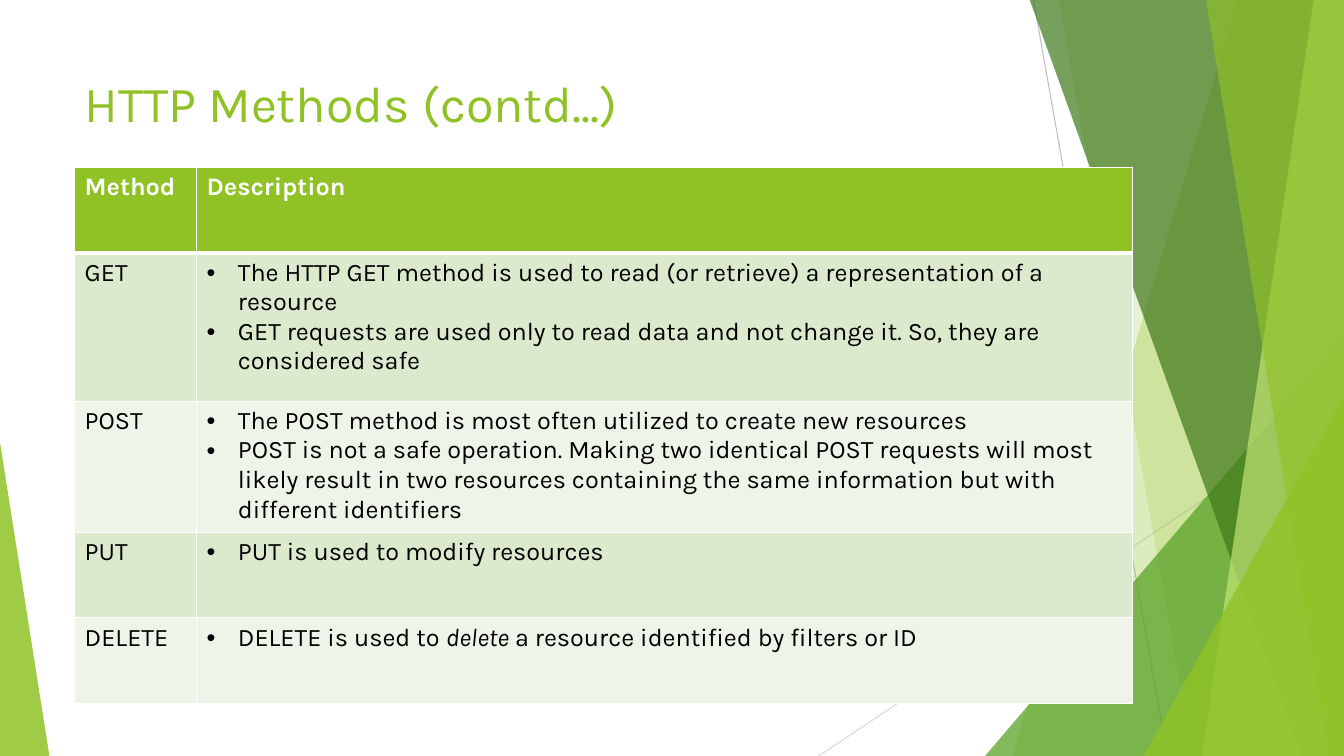
from lxml import etree
from pptx import Presentation
from pptx.dml.color import RGBColor
from pptx.enum.shapes import MSO_CONNECTOR, MSO_SHAPE
from pptx.enum.text import MSO_ANCHOR
from pptx.oxml.ns import qn
from pptx.util import Inches, Pt

LIME = RGBColor(0x90, 0xC2, 0x26)
GREEN = RGBColor(0x54, 0xA0, 0x21)
DARK_GREEN = RGBColor(0x3F, 0x78, 0x19)
PALE_LIME = RGBColor(0xC0, 0xE4, 0x74)
GREY = RGBColor(0xBF, 0xBF, 0xBF)
LIGHT_GREY = RGBColor(0xD9, 0xD9, 0xD9)
WHITE = RGBColor(0xFF, 0xFF, 0xFF)
BLACK = RGBColor(0, 0, 0)
BANDS = (RGBColor(0xDB, 0xE9, 0xCD), RGBColor(0xEE, 0xF4, 0xE8))

FONT = "Karla"
WIDTH, HEIGHT = 13.33, 7.5
TOP = -0.01

# Each paragraph is a list of runs; odd-numbered runs are italic.
METHODS = [
    ("GET", [
        ["The HTTP GET method is used to read (or retrieve) a representation of a resource"],
        ["GET requests are used only to read data and not change it. "
         "So, they are considered safe"],
    ]),
    ("POST", [
        ["The POST method is most often utilized to create new resources"],
        ["POST is not a safe operation. Making two identical POST requests will most likely "
         "result in two resources containing the same information but with different identifiers"],
    ]),
    ("PUT", [["PUT is used to modify resources"]]),
    ("DELETE", [["DELETE is used to ", "delete", " a resource identified by filters or ID"]]),
]
COLUMN_WIDTHS = (1.21, 9.28)
ROW_HEIGHTS = (0.85, 1.47, 0.85, 0.85, 0.85)


def style_shape(sp, color, opacity):
    sp.shadow.inherit = False
    sp.line.fill.background()
    sp.fill.solid()
    sp.fill.fore_color.rgb = color
    clr = sp.fill._xPr.find(qn("a:solidFill"))[0]
    etree.SubElement(clr, qn("a:alpha"), val=str(opacity * 1000))


def add_band(slide, top_x, bottom_x, color, opacity):
    """Fill the area from a slanted left edge to the slide's right edge."""
    builder = slide.shapes.build_freeform(Inches(top_x), Inches(TOP))
    corners = [(WIDTH, TOP), (WIDTH, HEIGHT), (bottom_x, HEIGHT)]
    builder.add_line_segments([(Inches(x), Inches(y)) for x, y in corners])
    style_shape(builder.convert_to_shape(), color, opacity)


def add_triangle(slide, left, top, width, apex, color, opacity):
    """Stand a triangle on the slide's bottom edge."""
    sp = slide.shapes.add_shape(MSO_SHAPE.ISOSCELES_TRIANGLE, Inches(left), Inches(top),
                                Inches(width), Inches(HEIGHT - top))
    sp.adjustments[0] = apex
    style_shape(sp, color, opacity)


def add_line(slide, x1, y1, x2, y2, color):
    line = slide.shapes.add_connector(MSO_CONNECTOR.STRAIGHT, Inches(x1), Inches(y1),
                                      Inches(x2), Inches(y2))
    line.line.color.rgb = color
    line.line.width = Pt(0.75)
    etree.SubElement(line._element.spPr, qn("a:effectLst"))


def add_decoration(slide):
    add_line(slide, 10.25, 0, 11.58, HEIGHT, GREY)
    add_line(slide, WIDTH, 4.03, 8.12, HEIGHT, LIGHT_GREY)
    add_band(slide, 12.28, 10.04, LIME, 30)
    add_band(slide, 10.5, 11.83, LIME, 20)
    add_triangle(slide, 9.77, 3.33, 3.56, 1, GREEN, 72)
    add_band(slide, 10.21, 12.91, DARK_GREEN, 70)
    add_band(slide, 13.03, 11.92, PALE_LIME, 70)
    add_band(slide, 11.96, 13.18, LIME, 65)
    add_triangle(slide, 11.34, 3.93, 1.99, 1, LIME, 80)
    add_triangle(slide, 0, 4.39, 0.49, 0, LIME, 85)


def format_run(r, size, color, bold=False, italic=False):
    r.font.name = FONT
    r.font.size = Pt(size)
    r.font.color.rgb = color
    r.font.bold = bold
    r.font.italic = italic


def add_title(slide, text):
    tf = slide.shapes.add_textbox(Inches(0.74), Inches(0.67), Inches(9.4), Inches(1.44)).text_frame
    tf.word_wrap = True
    tf.vertical_anchor = MSO_ANCHOR.TOP
    tf.text = text
    format_run(tf.paragraphs[0].runs[0], 36, LIME)


def add_bullet(p):
    pPr = p._p.get_or_add_pPr()
    indent = Inches(0.31)
    pPr.set("marL", str(indent))
    pPr.set("indent", str(-indent))
    etree.SubElement(pPr, qn("a:buFont"), typeface="Arial")
    etree.SubElement(pPr, qn("a:buChar"), char="•")


def style_cell(cell, fill, bottom_width=1):
    tcPr = cell._tc.get_or_add_tcPr()
    for side, width in (("L", 1), ("R", 1), ("T", 1), ("B", bottom_width)):
        ln = etree.SubElement(tcPr, qn(f"a:ln{side}"), w=str(Pt(width)))
        solid = etree.SubElement(ln, qn("a:solidFill"))
        etree.SubElement(solid, qn("a:srgbClr"), val=str(WHITE))
    cell.fill.solid()
    cell.fill.fore_color.rgb = fill


def fill_cell(cell, paragraphs, color, bold=False, bulleted=False):
    tf = cell.text_frame
    for i, texts in enumerate(paragraphs):
        p = tf.add_paragraph() if i else tf.paragraphs[0]
        if bulleted:
            add_bullet(p)
        for j, text in enumerate(texts):
            r = p.add_run()
            r.text = text
            format_run(r, 18, color, bold, italic=j % 2 == 1)


def add_methods_table(slide):
    table = slide.shapes.add_table(len(ROW_HEIGHTS), len(COLUMN_WIDTHS), Inches(0.74), Inches(1.66),
                                   Inches(sum(COLUMN_WIDTHS)), Inches(sum(ROW_HEIGHTS))).table
    for column, width in zip(table.columns, COLUMN_WIDTHS):
        column.width = Inches(width)
    for row, height in zip(table.rows, ROW_HEIGHTS):
        row.height = Inches(height)
    for col, heading in enumerate(("Method", "Description")):
        cell = table.cell(0, col)
        style_cell(cell, LIME, bottom_width=3)
        fill_cell(cell, [[heading]], WHITE, bold=True)
    for i, (method, description) in enumerate(METHODS):
        name_cell, description_cell = table.rows[i + 1].cells
        for cell in (name_cell, description_cell):
            style_cell(cell, BANDS[i % 2])
        fill_cell(name_cell, [[method]], BLACK)
        fill_cell(description_cell, description, BLACK, bulleted=True)


def main():
    prs = Presentation()
    prs.slide_width, prs.slide_height = Inches(WIDTH), Inches(HEIGHT)
    slide = prs.slides.add_slide(prs.slide_layouts[6])
    add_decoration(slide)
    add_title(slide, "HTTP Methods (contd...)")
    add_methods_table(slide)
    prs.save("out.pptx")


if __name__ == "__main__":
    main()
